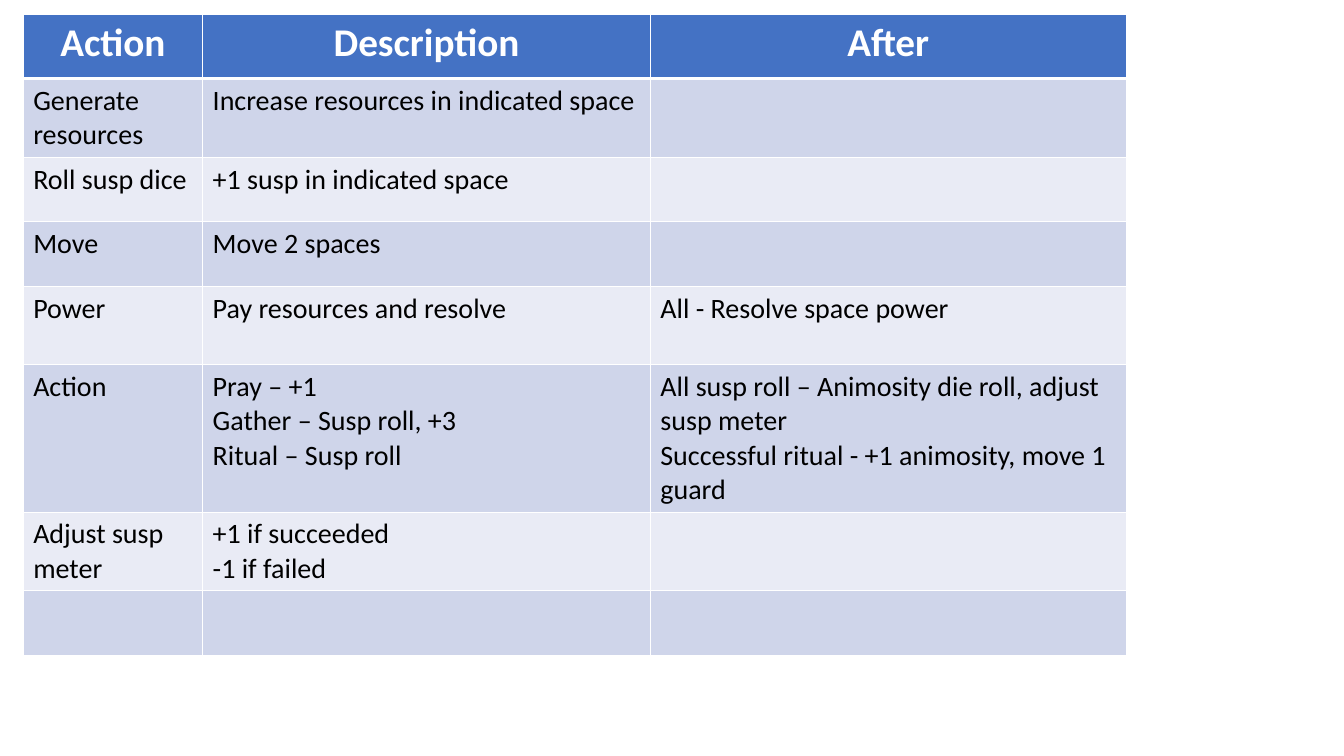
from dataclasses import dataclass

from lxml import etree
from pptx import Presentation
from pptx import util as u
from pptx.dml.color import RGBColor
from pptx.enum import text
from pptx.oxml.ns import qn


@dataclass(frozen=True)
class Theme:
    font: str = "Calibri"
    header_size: int = 28
    body_size: int = 20
    header_fill: str = "4472C4"
    header_text: str = "FFFFFF"
    body_text: str = "000000"
    bands: tuple = ("CFD5EA", "E9EBF5")
    rule: str = "FFFFFF"
    rule_width: int = 1
    header_rule_width: int = 3


class ActionSlide:
    def __init__(self, deck, theme):
        self.theme = theme
        self.slide = deck.slides.add_slide(deck.slide_layouts[6])

    def table(self, left, top, widths, heights, rows):
        frame = self.slide.shapes.add_table(
            len(rows), len(widths), u.Inches(left), u.Inches(top),
            u.Inches(sum(widths)), u.Inches(sum(heights)))
        grid = frame.table
        for column, width in zip(grid.columns, widths):
            column.width = u.Inches(width)
        for row, height in zip(grid.rows, heights):
            row.height = u.Inches(height)
        for r, entries in enumerate(rows):
            for c, lines in enumerate(entries):
                self.cell(grid.cell(r, c), r, lines)

    def cell(self, cell, row, lines):
        theme = self.theme
        is_header = row == 0
        fill = theme.header_fill if is_header else theme.bands[(row - 1) % 2]
        cell.fill.solid()
        cell.fill.fore_color.rgb = RGBColor.from_string(fill)
        self.borders(cell, row)
        for i, line in enumerate(lines):
            body = cell.text_frame
            paragraph = body.add_paragraph() if i else body.paragraphs[0]
            if is_header:
                paragraph.alignment = text.PP_ALIGN.CENTER
            self.run(paragraph, line, is_header)

    def run(self, paragraph, words, is_header):
        theme = self.theme
        run = paragraph.add_run()
        run.text = words
        run.font.name = theme.font
        run.font.bold = is_header
        run.font.size = u.Pt(theme.header_size if is_header else theme.body_size)
        run.font.color.rgb = RGBColor.from_string(
            theme.header_text if is_header else theme.body_text)

    def borders(self, cell, row):
        # The heavier rule runs between the header and the first action
        heavy_edge = {0: "lnB", 1: "lnT"}.get(row)
        properties = cell._tc.get_or_add_tcPr()
        for i, edge in enumerate(("lnL", "lnR", "lnT", "lnB")):
            points = (self.theme.header_rule_width if edge == heavy_edge
                      else self.theme.rule_width)
            line = etree.Element(qn(f"a:{edge}"), w=str(u.Pt(points)))
            solid = etree.SubElement(line, qn("a:solidFill"))
            etree.SubElement(solid, qn("a:srgbClr"), val=self.theme.rule)
            properties.insert(i, line)


# Each cell is a list of paragraphs
ACTIONS = [
    (["Action"], ["Description"], ["After"]),
    (["Generate resources"], ["Increase resources in indicated space"], []),
    (["Roll susp dice"], ["+1 susp in indicated space"], []),
    (["Move"], ["Move 2 spaces"], []),
    (["Power"], ["Pay resources and resolve"], ["All - Resolve space power"]),
    (["Action"],
     ["Pray – +1", "Gather – Susp roll, +3", "Ritual – Susp roll"],
     ["All susp roll – Animosity die roll, adjust susp meter",
      "Successful ritual - +1 animosity, move 1 guard"]),
    (["Adjust susp meter"], ["+1 if succeeded", "-1 if failed"], []),
    ([], [], []),
]
COLUMN_WIDTHS = (1.78, 4.44, 4.72)
ONE_LINE, TWO_LINES, FOUR_LINES = 0.64, 0.78, 1.46
ROW_HEIGHTS = (ONE_LINE, TWO_LINES, ONE_LINE, ONE_LINE,
               TWO_LINES, FOUR_LINES, TWO_LINES, ONE_LINE)


def main():
    deck = Presentation()
    deck.slide_width, deck.slide_height = u.Inches(13.33), u.Inches(7.5)

    # Table of actions
    actions = ActionSlide(deck, Theme())
    actions.table(0.23, 0.14, COLUMN_WIDTHS, ROW_HEIGHTS, ACTIONS)

    deck.save("out.pptx")


if __name__ == "__main__":
    main()
